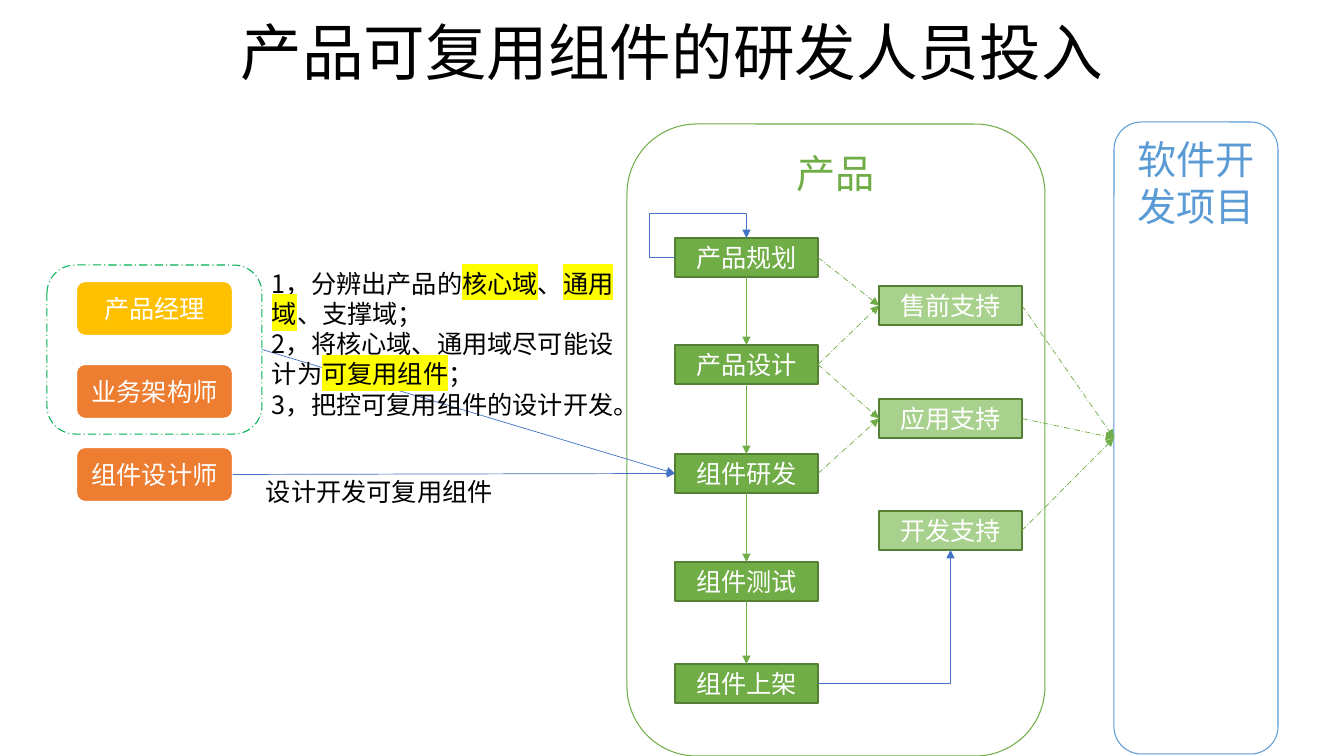
"""Build the slide on developer staffing for reusable product components."""
from lxml.etree import SubElement
from pptx import Presentation
from pptx.dml.color import RGBColor
from pptx.enum.dml import MSO_LINE as Dash
from pptx.enum.shapes import MSO_CONNECTOR as Link, MSO_SHAPE as Shape
from pptx.enum.text import MSO_ANCHOR as Anchor, MSO_AUTO_SIZE as Fit, PP_ALIGN as Align
from pptx.oxml import parse_xml
from pptx.oxml.ns import nsdecls, qn
from pptx.util import Pt

FONT = "Noto Sans CJK SC"
PIXEL = 914400 / 100.8
GREEN, BLUE, WHITE, BLACK, YELLOW = "70AD47", "4472C4", "FFFFFF", "000000", "FFFF00"
TOP, LEFT, BOTTOM, RIGHT = range(4)

TITLE = "产品可复用组件的研发人员投入"
FRAMES = [
    ("product", "产品", (627, 124, 418, 632), GREEN, None),
    ("project", "软件开发项目", (1114, 122, 164, 632), "5B9BD5", None),
    ("leads", "", (47, 265, 215, 169), "00B050", Dash.LONG_DASH_DOT),
]
STEPS = [("产品规划", 238), ("产品设计", 345), ("组件研发", 454), ("组件测试", 562), ("组件上架", 664)]
SUPPORTS = [("售前支持", 286), ("应用支持", 399), ("开发支持", 511)]
ROLES = [("产品经理", "FFC000"), ("业务架构师", "ED7D31"), ("组件设计师", "ED7D31")]
ROLE_TOP, ROLE_PITCH = 281, 83
HELP = [("产品规划", "售前支持"), ("产品设计", "售前支持"), ("产品设计", "应用支持"), ("组件研发", "应用支持")]
NOTES = [
    [("1，分辨出产品的", None), ("核心域", YELLOW), ("、", None), ("通用域", YELLOW), ("、支撑域；", None)],
    [("2，将核心域、通用域尽可能设计为", None), ("可复用组件", YELLOW), ("；", None)],
    [("3，把控可复用组件的设计开发。", None)],
]
TEXTS = [
    ((262, 263, 366, 163), NOTES),
    ((256, 471, 324, 40), [[("设计开发可复用组件", None)]]),
]


def emu(*pixels):
    return [round(value * PIXEL) for value in pixels]


def color(code):
    return RGBColor.from_string(code)


def assign(target, **values):
    for name, value in values.items():
        setattr(target, name, value)


def write(frame, paragraphs, size, ink, align=None, **layout):
    assign(frame, word_wrap=True, **layout)
    for index, pieces in enumerate(paragraphs):
        para = frame.add_paragraph() if index else frame.paragraphs[0]
        para.alignment = align
        for words, marker in pieces:
            span = para.add_run()
            span.text = words
            assign(span.font, size=Pt(size), name=FONT)
            span.font.color.rgb = color(ink)
            props = span.font._element
            if marker:
                mark = parse_xml(f'<a:highlight {nsdecls("a")}><a:srgbClr val="{marker}"/></a:highlight>')
                props.find(qn("a:solidFill")).addnext(mark)
            SubElement(props, qn("a:ea")).set("typeface", FONT)


def outline(item, code, width, dash=None):
    item.line.color.rgb = color(code)
    assign(item.line, width=Pt(width), dash_style=dash)


def add_box(kind, place, text, fill, edge, size, ink, anchor):
    box = page.shapes.add_shape(kind, *emu(*place))
    box.shadow.inherit = False
    if fill:
        box.fill.solid()
        box.fill.fore_color.rgb = color(fill)
    else:
        box.fill.background()
    outline(box, *edge)
    if text:
        write(box.text_frame, [[(text, None)]], size, ink, Align.CENTER, vertical_anchor=anchor)
    return box


def add_arrow(start, start_side, end, end_side, code, dash=None, bend=None, guides=()):
    arrow = page.shapes.add_connector(Link.ELBOW if bend else Link.STRAIGHT, 0, 0, 0, 0)
    arrow.begin_connect(boxes[start], start_side)
    arrow.end_connect(boxes[end], end_side)
    outline(arrow, code, 0.5, dash)
    SubElement(arrow.line._get_or_add_ln(), qn("a:tailEnd")).set("type", "triangle")
    props = arrow._element.spPr
    SubElement(props, qn("a:effectLst"))
    if bend:
        shape = props.find(qn("a:prstGeom"))
        shape.set("prst", bend)
        values = shape.find(qn("a:avLst"))
        if values is None:
            values = SubElement(shape, qn("a:avLst"))
        for number, value in enumerate(guides, 1):
            guide = SubElement(values, qn("a:gd"))
            guide.set("name", f"adj{number}")
            guide.set("fmla", f"val {value}")


deck = Presentation()
deck.slide_width, deck.slide_height = emu(1344, 756)
page = deck.slides.add_slide(deck.slide_layouts[5])
title = page.shapes.title
assign(title, **dict(zip(("left", "top", "width", "height"), emu(0, 17, 1344, 78))))
write(title.text_frame, [[(TITLE, None)]], 44, BLACK, Align.CENTER,
      vertical_anchor=Anchor.MIDDLE, auto_size=Fit.SHAPE_TO_FIT_TEXT)
title.text_frame.paragraphs[0].line_spacing = 0.9

boxes = {}
for name, text, place, ink, dash in FRAMES:
    boxes[name] = add_box(Shape.ROUNDED_RECTANGLE, place, text, None, (ink, 0.75, dash), 28, ink, Anchor.TOP)
for column, left, fill in ((STEPS, 675, GREEN), (SUPPORTS, 879, "A9D18E")):
    for text, top in column:
        boxes[text] = add_box(Shape.RECTANGLE, (left, top, 143, 39), text, fill,
                              ("538035", 1), 18, WHITE, Anchor.MIDDLE)
for row, (text, fill) in enumerate(ROLES):
    place = (76, ROLE_TOP + row * ROLE_PITCH, 157, 55)
    boxes[text] = add_box(Shape.ROUNDED_RECTANGLE, place, text, fill, (WHITE, 1.5), 18, WHITE, Anchor.MIDDLE)

for (upper, _), (lower, _) in zip(STEPS, STEPS[1:]):
    add_arrow(upper, BOTTOM, lower, TOP, GREEN)
for step, support in HELP + [(text, "project") for text, _ in SUPPORTS]:
    add_arrow(step, RIGHT, support, LEFT, GREEN, Dash.LONG_DASH_DOT)
for source in ("leads", "组件设计师"):
    add_arrow(source, RIGHT, "组件研发", LEFT, BLUE)
add_arrow("产品规划", LEFT, "产品规划", TOP, BLUE, bend="bentConnector4", guides=(-35300, 227000))
add_arrow("组件上架", RIGHT, "开发支持", BOTTOM, BLUE, bend="bentConnector2")

for place, paragraphs in TEXTS:
    box = page.shapes.add_textbox(*emu(*place))
    write(box.text_frame, paragraphs, 18, BLACK, auto_size=Fit.SHAPE_TO_FIT_TEXT)

deck.save("out.pptx")
